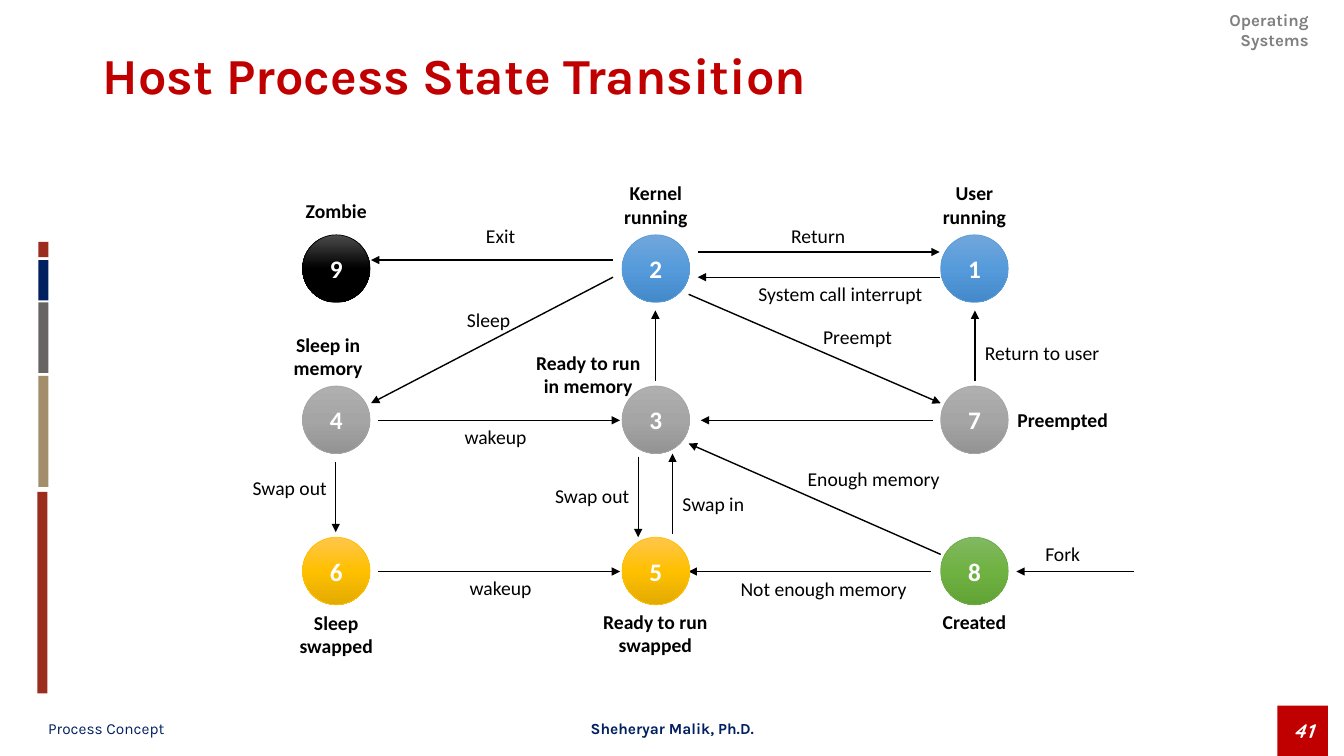
from copy import deepcopy
from dataclasses import dataclass
from typing import Optional

from lxml.etree import SubElement
from pptx import Presentation
from pptx.dml.color import RGBColor
from pptx.enum.shapes import MSO_CONNECTOR, MSO_SHAPE
from pptx.enum.text import MSO_ANCHOR, MSO_AUTO_SIZE, PP_ALIGN
from pptx.oxml.ns import qn
from pptx.util import Inches, Pt

LEFT, CENTER, RIGHT = PP_ALIGN.LEFT, PP_ALIGN.CENTER, PP_ALIGN.RIGHT


@dataclass(frozen=True)
class Theme:
    red: str = "C00000"
    navy: str = "002060"
    header_gray: str = "808080"
    rust: str = "9B2D1F"
    tan: str = "A28E6A"
    slate: str = "696464"
    white: str = "FFFFFF"
    black: str = "000000"
    # Gradient stops from top to bottom; the last one colours the outline.
    running: tuple = ("71A6DB", "559BDB", "448ACA", "5B9BD5")
    waiting: tuple = ("AFAFAF", "A5A5A5", "939393", "A5A5A5")
    swapped: tuple = ("FFC64B", "FFC000", "E3AB00", "FFC000")
    created: tuple = ("81B861", "6FB242", "62A336", "70AD47")
    zombie: tuple = ("4B4B4B", "000000", "000000", "000000")
    heading: str = "Karla"
    number: str = "Quicksand"
    body: str = "Calibri"
    title_size: int = 36
    state_size: int = 18
    label_size: int = 14
    header_size: int = 12
    footer_size: int = 11


THEME = Theme()


@dataclass(frozen=True)
class Box:
    left: float
    top: float
    width: float
    height: float

    def emu(self) -> tuple:
        return tuple(Inches(v) for v in (self.left, self.top, self.width, self.height))


@dataclass(frozen=True)
class Style:
    size: int = THEME.label_size
    color: str = THEME.black
    bold: bool = False
    italic: bool = False
    font: str = THEME.body


@dataclass(frozen=True)
class Label:
    text: str
    left: float
    top: float
    width: float = 1.17
    align: PP_ALIGN = CENTER


@dataclass(frozen=True)
class State:
    number: int
    column: int
    row: int
    palette: tuple
    name: Label


@dataclass(frozen=True)
class Transition:
    start: tuple
    end: tuple
    label: Optional[Label] = None


COLUMNS = (3, 6.17, 9.33)
ROWS = (2.33, 3.83, 5.33)
DIAMETER = 0.67

STATES = (
    State(2, 1, 0, THEME.running, Label("Kernel running", 5.92, 1.75)),
    State(8, 2, 2, THEME.created, Label("Created", 9.08, 6)),
    State(1, 2, 0, THEME.running, Label("User running", 9.08, 1.75)),
    State(7, 2, 1, THEME.waiting, Label("Preempted", 9.83, 4, 1.42)),
    State(5, 1, 2, THEME.swapped, Label("Ready to run swapped", 5.75, 6, 1.5)),
    State(9, 0, 0, THEME.zombie, Label("Zombie", 2.75, 1.92)),
    State(4, 0, 1, THEME.waiting, Label("Sleep in memory", 2.67, 3.25)),
    State(6, 0, 2, THEME.swapped, Label("Sleep swapped", 2.75, 6.01)),
    State(3, 1, 1, THEME.waiting, Label("Ready to run in memory", 5.17, 3.43, 1.33)),
)

TRANSITIONS = (
    Transition((6.08, 2.75), (3.68, 4), Label("Sleep", 3.99, 3.01, align=RIGHT)),
    Transition((6.08, 2.58), (3.68, 2.58), Label("Exit", 4.38, 2.17)),
    Transition((3.33, 4.58), (3.33, 5.28), Label("Swap out", 2.17, 4.67, align=RIGHT)),
    Transition((3.75, 5.67), (6.15, 5.67), Label("wakeup", 4.38, 5.66)),
    Transition((6.67, 5.3), (6.67, 4.5), Label("Swap in", 6.67, 4.83, align=LEFT)),
    Transition((6.33, 4.53), (6.33, 5.33), Label("Swap out", 5.17, 4.75, align=RIGHT)),
    Transition((9.23, 5.67), (6.83, 5.67), Label("Not enough memory", 7.17, 5.67, 2)),
    Transition((9.33, 5.5), (6.83, 4.4), Label("Enough memory", 7.83, 4.58, 1.67)),
    Transition((3.75, 4.17), (6.15, 4.17), Label("wakeup", 4.33, 4.17)),
    Transition((9.25, 4.17), (6.95, 4.17)),
    Transition((11.25, 5.67), (10.08, 5.67), Label("Fork", 10.08, 5.33, 0.92)),
    Transition((9.32, 2.75), (6.92, 2.75), Label("System call interrupt", 7.17, 2.75, 2.33)),
    Transition((6.83, 2.92), (9.33, 4), Label("Preempt", 7.92, 3.17)),
    Transition((9.67, 3.78), (9.67, 3.08), Label("Return to user", 9.67, 3.33, 1.75, LEFT)),
    Transition((6.5, 3.78), (6.5, 3.08)),
    Transition((6.92, 2.5), (9.32, 2.5), Label("Return", 7.53, 2.17)),
)

SIDE_BARS = (
    (Box(0.37, 4.88, 0.1, 2), THEME.rust),
    (Box(0.38, 3.73, 0.1, 1.1), THEME.tan),
    (Box(0.38, 3, 0.1, 0.7), THEME.slate),
    (Box(0.38, 2.4, 0.1, 0.15), THEME.rust),
    (Box(0.38, 2.58, 0.1, 0.4), THEME.navy),
)


def write(shape, text: str, style: Style, align=LEFT, anchor=MSO_ANCHOR.MIDDLE, wrap=True):
    frame = shape.text_frame
    frame.text = text
    frame_format = {"word_wrap": wrap, "vertical_anchor": anchor, "auto_size": MSO_AUTO_SIZE.NONE}
    for key, value in frame_format.items():
        setattr(frame, key, value)
    paragraph = frame.paragraphs[0]
    paragraph.alignment = align
    font_format = {"name": style.font, "size": Pt(style.size),
                   "bold": style.bold, "italic": style.italic}
    for run in paragraph.runs:
        for key, value in font_format.items():
            setattr(run.font, key, value)
        run.font.color.rgb = RGBColor.from_string(style.color)


def add_block(slide, box: Box, color: str):
    block = slide.shapes.add_shape(MSO_SHAPE.RECTANGLE, *box.emu())
    block.shadow.inherit = False
    block.fill.solid()
    block.fill.fore_color.rgb = RGBColor.from_string(color)
    block.line.fill.background()
    return block


def add_label(slide, label: Label, bold: bool = False) -> None:
    box = Box(label.left, label.top, label.width, 0.33)
    write(slide.shapes.add_textbox(*box.emu()), label.text, Style(bold=bold),
          label.align, MSO_ANCHOR.TOP)


def add_state(slide, state: State) -> None:
    box = Box(COLUMNS[state.column], ROWS[state.row], DIAMETER, DIAMETER)
    circle = slide.shapes.add_shape(MSO_SHAPE.OVAL, *box.emu())
    circle.shadow.inherit = False
    *shades, outline = state.palette
    circle.fill.gradient()
    circle.fill.gradient_angle = 270
    stop_list = circle._element.spPr.find(".//" + qn("a:gsLst"))
    stop_list.append(deepcopy(stop_list[-1]))
    for stop, position, shade in zip(circle.fill.gradient_stops, (0, 0.5, 1), shades):
        stop.position = position
        stop.color.rgb = RGBColor.from_string(shade)
    circle.line.color.rgb = RGBColor.from_string(outline)
    circle.line.width = Pt(0.5)
    write(circle, str(state.number), Style(THEME.state_size, THEME.white, True), CENTER, wrap=False)


def add_arrow(slide, transition: Transition) -> None:
    ends = (Inches(v) for v in transition.start + transition.end)
    arrow = slide.shapes.add_connector(MSO_CONNECTOR.STRAIGHT, *ends)
    arrow.line.color.rgb = RGBColor.from_string(THEME.black)
    arrow.line.width = Pt(1)
    SubElement(arrow.line._get_or_add_ln(), qn("a:tailEnd"), type="triangle")
    SubElement(arrow._element.spPr, qn("a:effectLst"))


def add_frame(slide) -> None:
    """Header, footer, page number and side bars around the diagram."""
    header = slide.shapes.add_textbox(*Box(11.55, 0.05, 1.53, 0.3).emu())
    write(header, "Operating\vSystems",
          Style(THEME.header_size, THEME.header_gray, True, font=THEME.heading),
          RIGHT, MSO_ANCHOR.TOP)
    page = add_block(slide, Box(12.67, 7, 0.5, 0.5), THEME.red)
    write(page, "41", Style(THEME.label_size, THEME.white, True, True, THEME.number), CENTER)
    for text, left, bold, align in (("Process Concept", 0.38, False, LEFT),
                                    ("Sheheryar Malik, Ph.D.", 4.47, True, CENTER)):
        footer = slide.shapes.add_textbox(*Box(left, 7.06, 4.4, 0.33).emu())
        write(footer, text, Style(THEME.footer_size, THEME.navy, bold, font=THEME.heading), align)
    for box, color in SIDE_BARS:
        add_block(slide, box, color)


def add_title(slide) -> None:
    title = slide.shapes.title
    title.left, title.top, title.width, title.height = Box(0.92, 0.05, 11.5, 1.45).emu()
    write(title, "Host Process State Transition",
          Style(THEME.title_size, THEME.red, True, font=THEME.heading))
    title.text_frame.paragraphs[0].line_spacing = 0.9


def main() -> None:
    deck = Presentation()
    deck.slide_width, deck.slide_height = Inches(13.33), Inches(7.5)
    slide = deck.slides.add_slide(deck.slide_layouts[5])
    add_frame(slide)
    add_title(slide)
    for transition in TRANSITIONS:
        add_arrow(slide, transition)
        if transition.label:
            add_label(slide, transition.label)
    for state in STATES:
        add_label(slide, state.name, bold=True)
        add_state(slide, state)
    deck.save("out.pptx")


if __name__ == "__main__":
    main()
